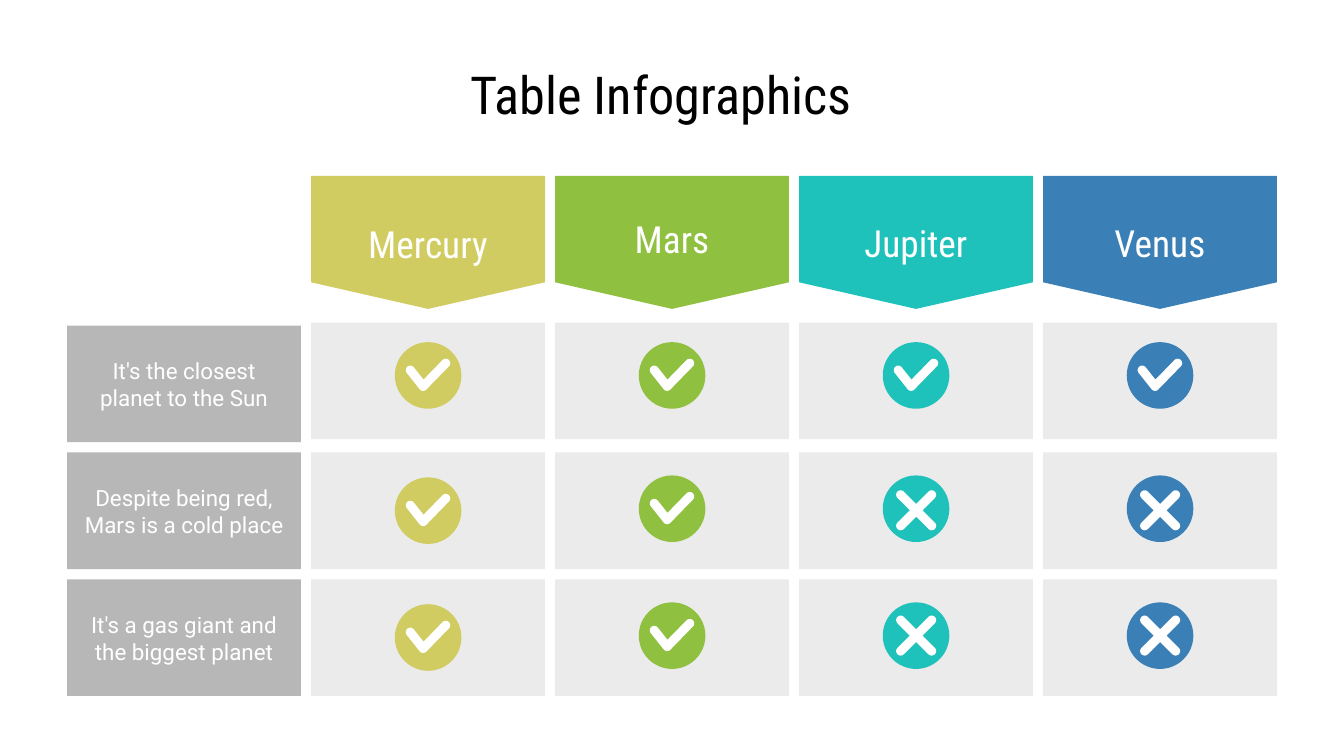
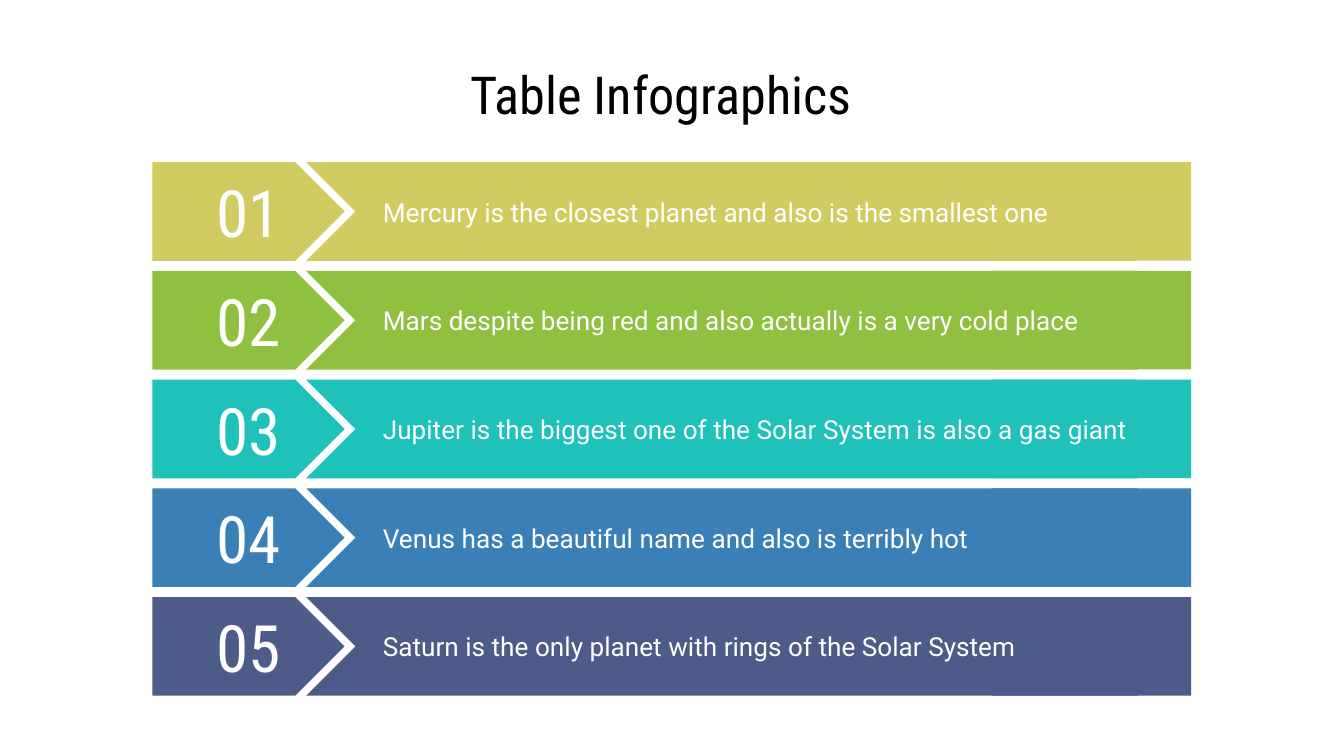
from dataclasses import dataclass
from math import atan2, cos, hypot, pi, sin
from typing import NamedTuple

from pptx import Presentation
from pptx.dml.color import RGBColor
from pptx.enum.shapes import MSO_SHAPE
from pptx.enum.text import MSO_ANCHOR, MSO_AUTO_SIZE, PP_ALIGN
from pptx.shapes.autoshape import Shape
from pptx.shapes.shapetree import GroupShapes
from pptx.slide import Slide
from pptx.text.text import TextFrame
from pptx.util import Pt

COLORS = {
    "mercury": "D1CC62",
    "mars": "8FC03F",
    "jupiter": "1FC2BA",
    "venus": "3A80B6",
    "saturn": "4D5B88",
    "cell": "EBEBEB",
    "label": "B7B7B7",
    "white": "FFFFFF",
    "black": "000000",
}


class Box(NamedTuple):
    left: float
    top: float
    width: float
    height: float


class Point(NamedTuple):
    x: float
    y: float


@dataclass(frozen=True)
class TextStyle:
    font: str
    size: float
    color: str = "white"
    align: PP_ALIGN = PP_ALIGN.CENTER
    inset_y: float = 7.2


@dataclass(frozen=True)
class Planet:
    name: str
    color: str
    name_top: float
    matches: tuple[bool, bool, bool]
    badge_drop: float = 0


@dataclass(frozen=True)
class Fact:
    text: str
    label_top: float
    cell_top: float
    badge_top: float
    cross_drop: float = 0


@dataclass(frozen=True)
class Statement:
    text: str
    color: str


TITLE = TextStyle("Roboto Condensed", 28, "black", PP_ALIGN.LEFT)
PLANET_NAME = TextStyle("Roboto Condensed", 20)
FACT_TEXT = TextStyle("Roboto", 12)
STATEMENT_TEXT = TextStyle("Roboto", 14, align=PP_ALIGN.LEFT)
NUMBER = TextStyle("Roboto Condensed", 35, inset_y=3.6)

PLANETS = [
    Planet("Mercury", "mercury", 116.2, (True, True, True), 1),
    Planet("Mars", "mars", 113.8, (True, True, True)),
    Planet("Jupiter", "jupiter", 115.7, (True, False, False)),
    Planet("Venus", "venus", 115.7, (True, False, False)),
]
FACTS = [
    Fact("It's the closest planet to the Sun", 174.4, 172.8, 183.3),
    Fact("Despite being red, Mars is a cold place", 242.4, 242.4, 254.7, 8),
    Fact("It's a gas giant and the biggest planet", 310.4, 310.4, 322.7, 7.1),
]
STATEMENTS = [
    Statement("Mercury is the closest planet and also is the smallest one", "mercury"),
    Statement("Mars despite being red and also actually is a very cold place", "mars"),
    Statement("Jupiter is the biggest one of the Solar System is also a gas giant", "jupiter"),
    Statement("Venus has a beautiful name and also is terribly hot", "venus"),
    Statement("Saturn is the only planet with rings of the Solar System", "saturn"),
]

TABLE_LEFT, COLUMN_PITCH, CELL_WIDTH, CELL_HEIGHT = 36, 130.7, 125.3, 62.5
BADGE = 35.7
STROKE_RADIUS = 2.4
CHECK_HUB = Point(9.3, 14.8)
CHECK_TIPS = [Point(2.4, 6.1), Point(21.4, 2.4)]
CROSS_HUB = Point(10.7, 10.7)
CROSS_TIPS = [Point(x, y) for x in (2.4, 19) for y in (2.4, 19)]
BAR_TOP, BAR_PITCH, BAR_HEIGHT = 86.9, 58.25, 52.8


def color_of(key: str) -> RGBColor:
    return RGBColor.from_string(COLORS[key])


def points(box: Box) -> list[Pt]:
    return [Pt(value) for value in box]


def write(frame: TextFrame, text: str, style: TextStyle) -> None:
    frame_format = {
        "word_wrap": True,
        "auto_size": MSO_AUTO_SIZE.NONE,
        "vertical_anchor": MSO_ANCHOR.MIDDLE,
        "margin_left": Pt(7.2),
        "margin_right": Pt(7.2),
        "margin_top": Pt(style.inset_y),
        "margin_bottom": Pt(style.inset_y),
    }
    for attribute, value in frame_format.items():
        setattr(frame, attribute, value)
    paragraph = frame.paragraphs[0]
    paragraph.alignment = style.align
    run = paragraph.add_run()
    run.text = text
    font_format = {"name": style.font, "size": Pt(style.size), "bold": False}
    for attribute, value in font_format.items():
        setattr(run.font, attribute, value)
    run.font.color.rgb = color_of(style.color)


def paint(shape: Shape, color: str) -> None:
    shape.shadow.inherit = False
    shape.fill.solid()
    shape.fill.fore_color.rgb = color_of(color)
    shape.line.fill.background()


def add_preset(group: GroupShapes, preset: MSO_SHAPE, box: Box, color: str) -> None:
    paint(group.add_shape(preset, *points(box)), color)


def add_text(group: GroupShapes, box: Box, text: str, style: TextStyle) -> None:
    write(group.add_textbox(*points(box)).text_frame, text, style)


def add_titled_slide(deck: Presentation, title: str) -> Slide:
    slide = deck.slides.add_slide(deck.slide_layouts[5])
    heading = slide.shapes.title
    place = {"left": 244.8, "top": 32.4, "width": 231, "height": 35.4}
    for attribute, value in place.items():
        setattr(heading, attribute, Pt(value))
    write(heading.text_frame, title, TITLE)
    return slide


def arc(center: Point, start: float, end: float, steps: int = 12) -> list[Point]:
    angles = [start + (end - start) * step / steps for step in range(steps + 1)]
    return [
        Point(center.x + STROKE_RADIUS * cos(a), center.y + STROKE_RADIUS * sin(a))
        for a in angles
    ]


def arms_outline(hub: Point, tips: list[Point]) -> list[Point]:
    arms = sorted((atan2(tip.y - hub.y, tip.x - hub.x), tip) for tip in tips)
    outline = []
    for index, (angle, tip) in enumerate(arms):
        following = arms[(index + 1) % len(arms)][0]
        gap = (following - angle) % (2 * pi)
        outline += arc(tip, angle - pi / 2, angle + pi / 2)
        if gap < pi:
            reach = STROKE_RADIUS / sin(gap / 2)
            middle = angle + gap / 2
            outline.append(Point(hub.x + reach * cos(middle), hub.y + reach * sin(middle)))
        else:
            outline += arc(hub, angle + pi / 2, angle + gap - pi / 2)
    return outline


def add_mark(group: GroupShapes, left: float, top: float, hub: Point, tips: list[Point]) -> None:
    outline = [(Pt(left + p.x), Pt(top + p.y)) for p in arms_outline(hub, tips)]
    builder = group.build_freeform(*outline[0])
    builder.add_line_segments(outline[1:], close=True)
    paint(builder.convert_to_shape(), "white")


def add_planet_column(slide: Slide, planet: Planet, left: float) -> None:
    group = slide.shapes.add_group_shape().shapes
    header = Box(left, 94.3, CELL_WIDTH, 71.2)
    add_preset(group, MSO_SHAPE.FLOWCHART_OFFPAGE_CONNECTOR, header, planet.color)
    add_text(group, Box(left + 23, planet.name_top, 79.2, 28.1), planet.name, PLANET_NAME)
    badge_left = left + (CELL_WIDTH - BADGE) / 2
    for row, (fact, matched) in enumerate(zip(FACTS, planet.matches)):
        cell = Box(left, fact.cell_top, CELL_WIDTH, CELL_HEIGHT)
        add_preset(group, MSO_SHAPE.RECTANGLE, cell, "cell")
        badge_top = fact.badge_top + (planet.badge_drop if row else 0)
        badge = Box(badge_left, badge_top, BADGE, BADGE)
        add_preset(group, MSO_SHAPE.OVAL, badge, planet.color)
        if matched:
            add_mark(group, badge_left + 5.9, badge_top + 8.9, CHECK_HUB, CHECK_TIPS)
        else:
            add_mark(group, badge_left + 7.2, badge_top + fact.cross_drop, CROSS_HUB, CROSS_TIPS)


def add_fact_label(slide: Slide, fact: Fact) -> None:
    group = slide.shapes.add_group_shape().shapes
    label = Box(TABLE_LEFT, fact.label_top, CELL_WIDTH, CELL_HEIGHT)
    add_preset(group, MSO_SHAPE.RECTANGLE, label, "label")
    add_text(group, Box(TABLE_LEFT, fact.label_top + 10.8, CELL_WIDTH, 41), fact.text, FACT_TEXT)


def add_statement_bar(slide: Slide, statement: Statement, number: int) -> None:
    group = slide.shapes.add_group_shape().shapes
    top = BAR_TOP + BAR_PITCH * (number - 1)
    parts = [
        (MSO_SHAPE.PENTAGON, 81.6, 103),
        (MSO_SHAPE.CHEVRON, 164, 471.6),
        (MSO_SHAPE.RECTANGLE, 531.4, 106.8),
    ]
    for preset, left, width in parts:
        add_preset(group, preset, Box(left, top, width, BAR_HEIGHT), statement.color)
    add_text(group, Box(198, top + 12.4, 440.6, 28.1), statement.text, STATEMENT_TEXT)
    add_text(group, Box(107.3, top + 8.4, 51.8, 36), f"{number:02}", NUMBER)


def main() -> None:
    deck = Presentation()
    deck.slide_width, deck.slide_height = Pt(720), Pt(405)

    comparison = add_titled_slide(deck, "Table Infographics")
    for column, planet in enumerate(PLANETS, start=1):
        add_planet_column(comparison, planet, TABLE_LEFT + COLUMN_PITCH * column)
    for fact in FACTS:
        add_fact_label(comparison, fact)

    numbered = add_titled_slide(deck, "Table Infographics")
    for number, statement in enumerate(STATEMENTS, start=1):
        add_statement_bar(numbered, statement, number)

    deck.save("out.pptx")


if __name__ == "__main__":
    main()
